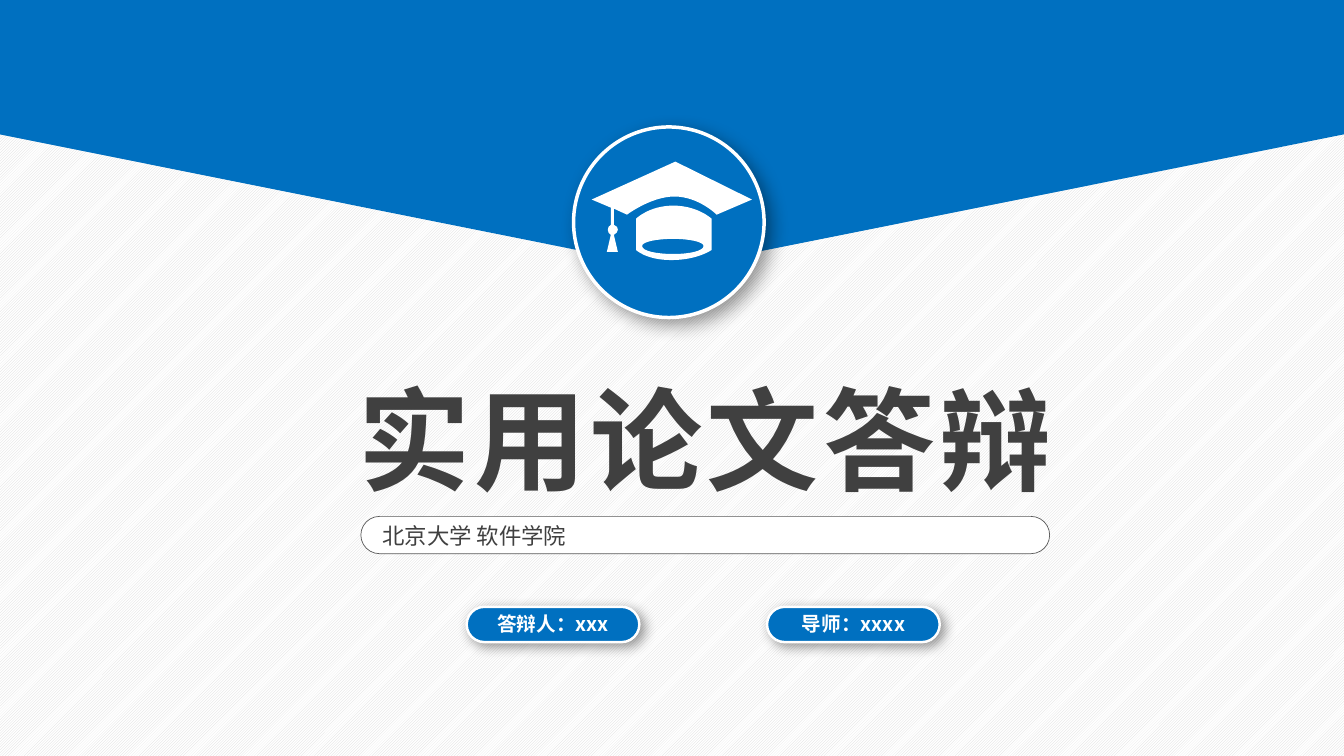
from lxml.etree import SubElement
from pptx import Presentation
from pptx.dml.color import RGBColor
from pptx.enum.dml import MSO_PATTERN
from pptx.enum.shapes import MSO_SHAPE
from pptx.enum.text import MSO_AUTO_SIZE, PP_ALIGN
from pptx.oxml.ns import qn
from pptx.util import Pt

PX = 3048
WIDTH, HEIGHT = 4000, 2250
FONT = "Noto Sans CJK SC"
COLORS = {"blue": "0070C0", "white": "FFFFFF", "ink": "404040",
          "border": "595959", "hatch": "D9D9D9", "shadow": "000000"}

TITLE = ("实用论文答辩", (962, 1088, 2274, 435))
SCHOOL = ("北京大学 软件学院", (1074, 1537, 2050, 111), (1109, 1539, 1980, 111))
PEOPLE = [
    ("答辩人：xxx", (1389, 1806, 514, 105), (1418, 1807, 456, 102)),
    ("导师：xxxx", (2283, 1806, 514, 105), (2296, 1807, 489, 102)),
]
BANNER_DEPTH = 801
BADGE = (1707, 378, 567, 567)

CAP = [
    [[(2133, 639)],
     [(2133, 639), (2079, 585), (2007, 585)],
     [(1938, 585), (1866, 639), (1866, 639)],
     [(1827, 621)], [(1827, 669)],
     [(1836, 672), (1839, 678), (1839, 684)],
     [(1839, 690), (1833, 696), (1827, 699)],
     [(1839, 750)], [(1806, 750)], [(1818, 699)],
     [(1812, 696), (1809, 690), (1809, 684)],
     [(1809, 678), (1812, 672), (1818, 669)],
     [(1818, 618)], [(1761, 594)], [(2010, 481)], [(2238, 594)]],
    [[(2004, 612)],
     [(2076, 612), (2118, 651), (2118, 651)],
     [(2118, 744)],
     [(2118, 744), (2076, 774), (1998, 774)],
     [(1923, 774), (1893, 744), (1893, 744)],
     [(1893, 651)],
     [(1893, 651), (1932, 612), (2004, 612)]],
    [[(2004, 756)],
     [(2052, 756), (2094, 747), (2094, 732)],
     [(2094, 720), (2052, 711), (2004, 711)],
     [(1953, 711), (1911, 720), (1911, 732)],
     [(1911, 747), (1953, 756), (2004, 756)]],
]


def color(name):
    return RGBColor.from_string(COLORS[name])


def emu(box):
    return [value * PX for value in box]


def paint(shape, fill, line=None, weight=0):
    shape.shadow.inherit = False
    shape.fill.solid()
    shape.fill.fore_color.rgb = color(fill)
    if line:
        shape.line.color.rgb = color(line)
        shape.line.width = Pt(weight)
    else:
        shape.line.fill.background()


def add_shadow(shape, blur, distance):
    effects = shape._element.spPr.find(qn("a:effectLst"))
    outer = SubElement(effects, qn("a:outerShdw"), blurRad=str(Pt(blur)),
                       dist=str(Pt(distance)), dir="2700000", algn="tl", rotWithShape="0")
    tint = SubElement(outer, qn("a:srgbClr"), val=COLORS["shadow"])
    SubElement(tint, qn("a:alpha"), val="40000")


def add_text(shapes, text, box, size, ink, bold=False, align=PP_ALIGN.CENTER, spacing=0):
    frame = shapes.add_textbox(*emu(box)).text_frame
    frame.word_wrap = True
    frame.auto_size = MSO_AUTO_SIZE.SHAPE_TO_FIT_TEXT
    para = frame.paragraphs[0]
    para.alignment = align
    span = para.add_run()
    span.text = text
    span.font.size = Pt(size)
    span.font.bold = bold
    span.font.color.rgb = color(ink)
    span.font.name = FONT
    properties = span._r.get_or_add_rPr()
    SubElement(properties, qn("a:ea"), typeface=FONT)
    if spacing:
        properties.set("spc", str(spacing * 100))


def add_pill(shapes, box, fill, line, weight):
    pill = shapes.add_shape(MSO_SHAPE.ROUNDED_RECTANGLE, *emu(box))
    pill.adjustments[0] = 0.5
    paint(pill, fill, line, weight)
    return pill


def add_cap(shapes):
    builder = shapes.build_freeform(*CAP[0][0][0], scale=PX)
    for index, (start, *segments) in enumerate(CAP):
        if index:
            builder.move_to(*start[0])
        builder.add_line_segments([point for segment in segments for point in segment],
                                  close=True)
    cap = builder.convert_to_shape()
    paint(cap, "white")
    steps = iter(list(cap._element.iter(qn("a:lnTo"))))
    for contour in CAP:
        for segment in contour[1:]:
            first, *others = [next(steps) for point in segment]
            if others:
                curve = first.makeelement(qn("a:cubicBezTo"))
                first.addprevious(curve)
                for step in (first, *others):
                    curve.append(step[0])
                    step.getparent().remove(step)


def main():
    deck = Presentation()
    deck.slide_width, deck.slide_height = emu((WIDTH, HEIGHT))
    page = deck.slides.add_slide(deck.slide_layouts[6])
    backdrop = page.background.fill
    backdrop.patterned()
    backdrop.pattern = MSO_PATTERN.LIGHT_UPWARD_DIAGONAL
    backdrop.fore_color.rgb = color("hatch")
    backdrop.back_color.rgb = color("white")

    add_text(page.shapes, *TITLE, 80, "ink", bold=True, spacing=3)
    for text, pill_box, text_box in PEOPLE:
        group = page.shapes.add_group_shape()
        add_shadow(add_pill(group.shapes, pill_box, "blue", "white", 1.75), 9, 4)
        add_text(group.shapes, text, text_box, 14, "white", bold=True)

    left, top = (WIDTH - BANNER_DEPTH) // 2, (BANNER_DEPTH - WIDTH) // 2
    banner = page.shapes.add_shape(MSO_SHAPE.PENTAGON, *emu((left, top, BANNER_DEPTH, WIDTH)))
    banner.rotation = 90
    paint(banner, "blue")

    badge = page.shapes.add_shape(MSO_SHAPE.OVAL, *emu(BADGE))
    paint(badge, "blue", "white", 2.5)
    add_shadow(badge, 13, 6)

    text, pill_box, text_box = SCHOOL
    group = page.shapes.add_group_shape()
    add_pill(group.shapes, pill_box, "white", "border", 0.5)
    add_text(group.shapes, text, text_box, 16, "ink", align=PP_ALIGN.JUSTIFY)
    add_cap(page.shapes)
    deck.save("out.pptx")


if __name__ == "__main__":
    main()
